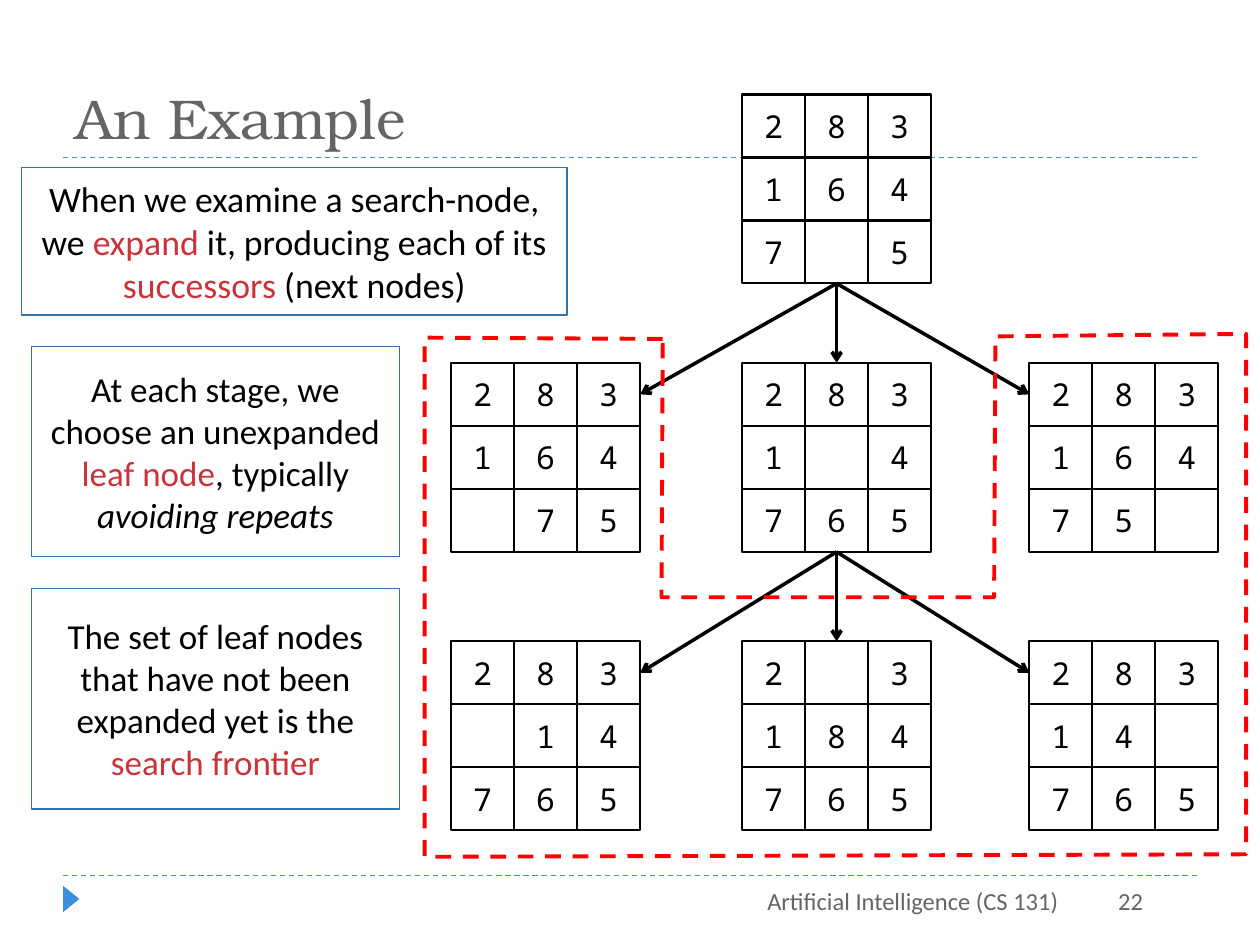
import pptx
import pptx.util
import pptx.dml.color
import pptx.enum.dml
import pptx.enum.shapes
import pptx.enum.text
from lxml import etree
from pptx.oxml.ns import qn

Inches = pptx.util.Inches
SHAPE = pptx.enum.shapes.MSO_SHAPE
STRAIGHT = pptx.enum.shapes.MSO_CONNECTOR.STRAIGHT
ALIGN = pptx.enum.text.PP_ALIGN
ANCHOR = pptx.enum.text.MSO_ANCHOR
DASH = pptx.enum.dml.MSO_LINE.DASH

BLACK, GREY, RED, BLUE = "000000", "646469", "CB333B", "3E8EDE"


def paint(target, colour, **line_format):
    """Colour a font, fill or line; keyword values are set on the line."""
    if hasattr(target, "solid"):
        target.solid()
        target.fore_color.rgb = pptx.dml.color.RGBColor.from_string(colour)
    else:
        target.color.rgb = pptx.dml.color.RGBColor.from_string(colour)
    for name, value in line_format.items():
        setattr(target, name, value)


def write(shape, spans, font, size, align=ALIGN.CENTER, anchor=ANCHOR.MIDDLE):
    """Fill a shape with one paragraph of (text, colour, italic) spans."""
    frame = shape.text_frame
    frame_format = {"word_wrap": True, "vertical_anchor": anchor,
                    "auto_size": pptx.enum.text.MSO_AUTO_SIZE.NONE}
    for name, value in frame_format.items():
        setattr(frame, name, value)
    para = frame.paragraphs[0]
    para.alignment = align
    for text, colour, italic in spans:
        span = para.add_run()
        span.text = text
        font_format = {"name": font, "size": pptx.util.Pt(size), "italic": italic}
        for name, value in font_format.items():
            setattr(span.font, name, value)
        paint(span.font, colour)


deck = pptx.Presentation()
deck.slide_width, deck.slide_height = Inches(10), Inches(7.5)
page = deck.slides.add_slide(deck.slide_layouts[5])
shapes = page.shapes

# Dashed rules above and below the content
for y in (6.95, 1.25):
    rule = shapes.add_connector(STRAIGHT, Inches(0.5), Inches(y), Inches(9.5), Inches(y))
    paint(rule.line, BLUE, width=pptx.util.Pt(0.75), dash_style=DASH)
    etree.SubElement(rule._element.spPr, qn("a:effectLst"))

# Footer marker
marker = shapes.add_shape(SHAPE.ISOSCELES_TRIANGLE, Inches(0.46), Inches(7.07),
                          Inches(0.21), Inches(0.13))
marker.rotation = 90
marker.shadow.inherit = False
paint(marker.fill, BLUE)
marker.line.fill.background()

# Title
title = shapes.title
title_place = {"left": 0.5, "top": 0.25, "width": 9, "height": 1}
for name, value in title_place.items():
    setattr(title, name, Inches(value))
write(title, [("An Example", GREY, False)], "TeX Gyre Bonum", 32, ALIGN.LEFT, ANCHOR.BOTTOM)

# Footer and page number
for text, left, width in (("Artificial Intelligence (CS 131)", 3.83, 4.67), ("22", 8.08, 1.09)):
    box = shapes.add_textbox(Inches(left), Inches(6.95), Inches(width), Inches(0.4))
    write(box, [(text, GREY, False)], "Calibri", 14, ALIGN.RIGHT)

# Puzzle boards: three rows of three tiles, a dot for the empty square
LEFT, MIDDLE, RIGHT = 3.58, 5.89, 8.17
TOP, CENTRE, BOTTOM = 0.75, 2.88, 5.09
TILE = 0.5
boards = {
    (MIDDLE, TOP): "2831647.5",
    (LEFT, CENTRE): "283164.75",
    (MIDDLE, CENTRE): "2831.4765",
    (RIGHT, CENTRE): "28316475.",
    (LEFT, BOTTOM): "283.14765",
    (MIDDLE, BOTTOM): "2.3184765",
    (RIGHT, BOTTOM): "28314.765",
}
tiles = {}
for (left, top), digits in boards.items():
    board = shapes.add_group_shape()
    tiles[left, top] = []
    for index, digit in enumerate(digits):
        row, column = divmod(index, 3)
        tile = board.shapes.add_shape(
            SHAPE.RECTANGLE, Inches(left + column * TILE), Inches(top + row * TILE),
            Inches(TILE), Inches(TILE))
        tile.shadow.inherit = False
        tile.fill.background()
        paint(tile.line, BLACK, width=pptx.util.Pt(1.25))
        if digit != ".":
            write(tile, [(digit, BLACK, False)], "Noto Sans Mono", 18)
        tiles[left, top].append(tile)

# Arrows from each expanded board to its successors: column, tile, side
for parent, child in ((TOP, CENTRE), (CENTRE, BOTTOM)):
    for column, index, side in ((LEFT, 2, 3), (MIDDLE, 1, 0), (RIGHT, 0, 1)):
        arrow = shapes.add_connector(STRAIGHT, 0, 0, 0, 0)
        arrow.begin_connect(tiles[MIDDLE, parent][7], 2)
        arrow.end_connect(tiles[column, child][index], side)
        paint(arrow.line, BLACK, width=pptx.util.Pt(2))
        etree.SubElement(arrow.line._get_or_add_ln(), qn("a:tailEnd"), type="arrow")
        etree.SubElement(arrow._element.spPr, qn("a:effectLst"))

# Explanations
notes = [
    ((0.17, 1.33, 4.33, 1.17), 20.4, [
        ("When we examine a search-node, we ", BLACK, False),
        ("expand ", RED, False),
        ("it, producing each of its ", BLACK, False),
        ("successors ", RED, False),
        ("(next nodes)", BLACK, False)]),
    ((0.25, 2.75, 2.92, 1.67), 20, [
        ("At each stage, we choose an unexpanded ", BLACK, False),
        ("leaf node", RED, False),
        (", typically ", BLACK, False),
        ("avoiding repeats", BLACK, True)]),
    ((0.25, 4.67, 2.92, 1.75), 20, [
        ("The set of leaf nodes that have not been expanded yet is the ", BLACK, False),
        ("search frontier", RED, False)]),
]
for place, size, spans in notes:
    box = shapes.add_shape(SHAPE.RECTANGLE, *map(Inches, place))
    box.shadow.inherit = False
    paint(box.fill, "FFFFFF")
    paint(box.line, "3071AE", width=pptx.util.Pt(0.75))
    write(box, spans, "Calibri", size)

# Dashed outline around the search frontier
corners = [(5.26, 2.69), (3.37, 2.68), (3.37, 6.8), (9.89, 6.78),
           (9.89, 2.65), (7.9, 2.67), (7.89, 4.74), (5.25, 4.74)]
points = [(Inches(x), Inches(y)) for x, y in corners]
builder = shapes.build_freeform(*points[0])
builder.add_line_segments(points[1:], close=True)
frontier = builder.convert_to_shape()
frontier.shadow.inherit = False
frontier.fill.background()
paint(frontier.line, "FF0000", width=pptx.util.Pt(2.25), dash_style=DASH)

deck.save("out.pptx")
